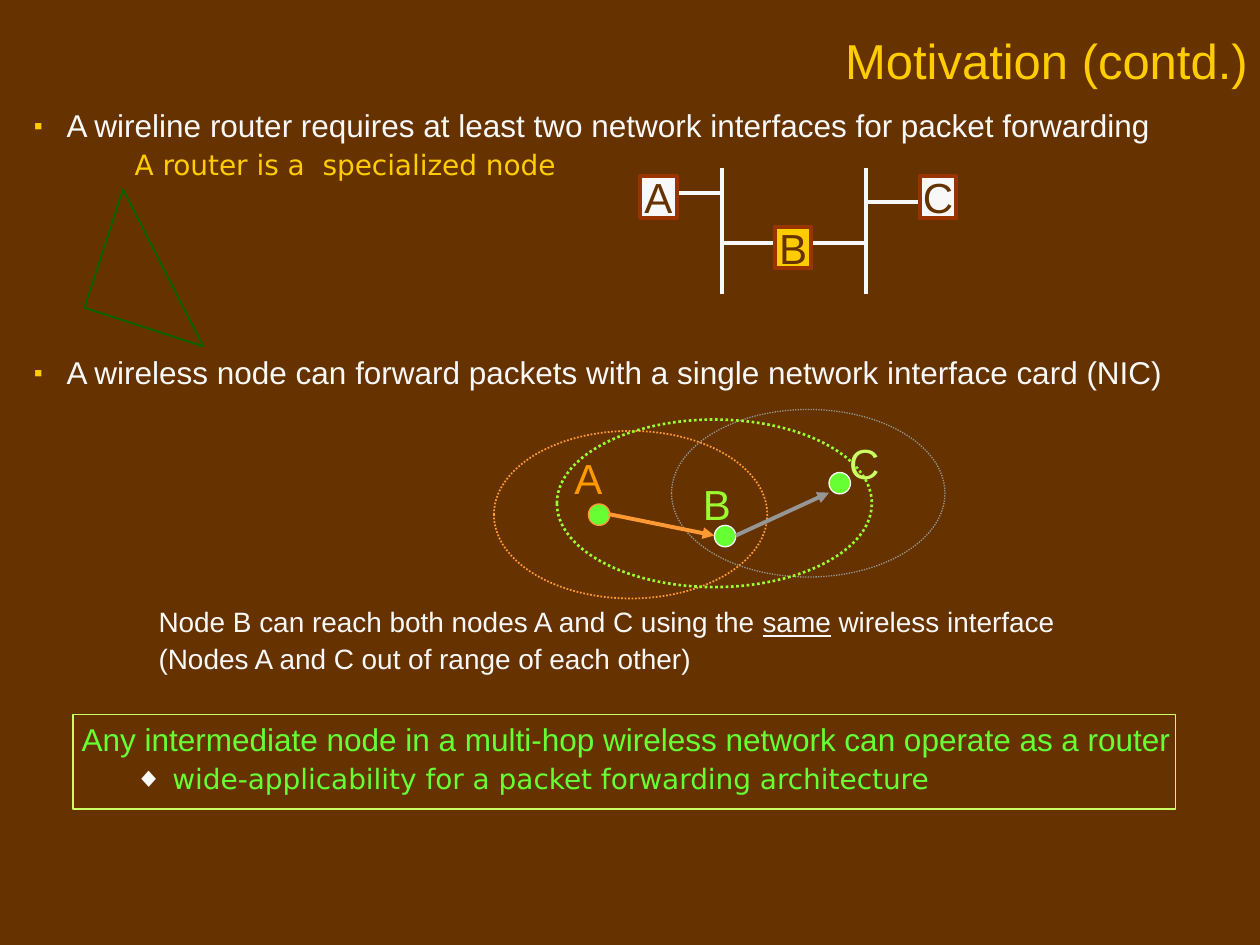
from lxml import etree
from pptx import Presentation
from pptx.dml.color import RGBColor
from pptx.enum.dml import MSO_LINE
from pptx.enum.shapes import MSO_CONNECTOR, MSO_SHAPE
from pptx.enum.text import MSO_ANCHOR, PP_ALIGN
from pptx.oxml.ns import qn
from pptx.util import Inches, Pt

RECTANGLE, OVAL, TRIANGLE = MSO_SHAPE.RECTANGLE, MSO_SHAPE.OVAL, MSO_SHAPE.RIGHT_TRIANGLE
STRAIGHT = MSO_CONNECTOR.STRAIGHT
DOTTED = MSO_LINE.ROUND_DOT
MIDDLE = MSO_ANCHOR.MIDDLE
LEFT, CENTER, RIGHT = PP_ALIGN.LEFT, PP_ALIGN.CENTER, PP_ALIGN.RIGHT

COLORS = {
    "brown": "663300", "gold": "FFCC00", "white": "F8F8F8", "rust": "993300",
    "green": "66FF33", "dark green": "006600", "lime": "99FF33",
    "pale lime": "CCFF66", "orange": "FF9933", "deep orange": "FF9900",
    "gray": "969696",
}


def rgb(name):
    return RGBColor.from_string(COLORS[name])


class SlideBuilder:
    font = "Arial"
    second_font = "DejaVu Sans"

    def __init__(self, slide):
        self.slide = slide
        fill = slide.background.fill
        fill.solid()
        fill.fore_color.rgb = rgb("brown")

    def shape(self, kind, left, top, width, height, line, weight, fill=None, dash=None):
        shape = self.slide.shapes.add_shape(
            kind, Inches(left), Inches(top), Inches(width), Inches(height))
        shape.shadow.inherit = False
        if fill:
            shape.fill.solid()
            shape.fill.fore_color.rgb = rgb(fill)
        else:
            shape.fill.background()
        shape.line.color.rgb = rgb(line)
        shape.line.width = Pt(weight)
        if dash:
            shape.line.dash_style = dash
        return shape

    def line(self, start, end, color="white", arrow=False):
        connector = self.slide.shapes.add_connector(
            STRAIGHT, *(Inches(value) for value in (*start, *end)))
        connector.line.color.rgb = rgb(color)
        connector.line.width = Pt(2.25)
        properties = connector._element.spPr
        if arrow:
            outline = properties.find(qn("a:ln"))
            etree.SubElement(outline, qn("a:tailEnd"), type="triangle")
        etree.SubElement(properties, qn("a:effectLst"))

    def text_box(self, left, top, width, height, wrap=True):
        box = self.slide.shapes.add_textbox(
            Inches(left), Inches(top), Inches(width), Inches(height))
        box.text_frame.word_wrap = wrap
        return box.text_frame

    def set_text(self, paragraph, text, size, color, align=LEFT, font=None):
        paragraph.text = text
        self.style(paragraph, size, color, align, font)

    def style(self, paragraph, size, color, align=LEFT, font=None):
        paragraph.alignment = align
        paragraph.font.name = font or self.font
        paragraph.font.size = Pt(size)
        paragraph.font.color.rgb = rgb(color)

    def layout(self, paragraph, margin, indent=0, before=4, bullet=None):
        """Set spacing, indents and an optional (character, color, percent) bullet."""
        paragraph.line_spacing = 0.9
        paragraph.space_before = Pt(before)
        properties = paragraph._p.get_or_add_pPr()
        properties.set("marL", str(Inches(margin)))
        properties.set("indent", str(Inches(indent)))
        if bullet:
            character, color, percent = bullet
            bullet_color = etree.SubElement(properties, qn("a:buClr"))
            etree.SubElement(bullet_color, qn("a:srgbClr"), val=COLORS[color])
            etree.SubElement(properties, qn("a:buSzPct"), val=str(percent * 1000))
            etree.SubElement(properties, qn("a:buFont"), typeface="Times New Roman")
            etree.SubElement(properties, qn("a:buChar"), char=character)

    def body(self, top, height):
        return self.text_box(0.17, top, 9.83, height)

    def point(self, paragraph, text):
        self.layout(paragraph, 0.26, -0.26, 4.5, ("▪", "gold", 80))
        self.set_text(paragraph, text, 18, "white")

    def router(self, letter, left, top, fill):
        shape = self.shape(RECTANGLE, left, top, 0.29, 0.33, "rust", 2.25, fill)
        frame = shape.text_frame
        frame.word_wrap = False
        frame.vertical_anchor = MIDDLE
        self.set_text(frame.paragraphs[0], letter, 24, "brown", CENTER)

    def label(self, letter, left, top, color):
        frame = self.text_box(left, top, 0.42, 0.5, wrap=False)
        self.set_text(frame.paragraphs[0], letter, 24, color, CENTER)


def add_text(builder):
    title = builder.text_box(2.33, 0.17, 7.67, 0.67)
    title.vertical_anchor = MIDDLE
    builder.set_text(title.paragraphs[0], "Motivation (contd.)", 28, "gold", RIGHT)
    title.paragraphs[0].line_spacing = 0.9

    wireline = builder.body(0.83, 0.7)
    builder.point(wireline.paragraphs[0],
                  "A wireline router requires at least two network interfaces "
                  "for packet forwarding")
    remark = wireline.add_paragraph()
    builder.layout(remark, 0.8)
    builder.set_text(remark, "A router is a  specialized node", 16, "gold",
                     font=builder.second_font)

    wireless = builder.body(2.79, 0.4)
    builder.point(wireless.paragraphs[0],
                  "A wireless node can forward packets with a single network "
                  "interface card (NIC)")

    reach = builder.body(4.78, 0.7)
    first, second = reach.paragraphs[0], reach.add_paragraph()
    for text in ("Node B can reach both nodes A and C using the ", "same",
                 " wireless interface"):
        run = first.add_run()
        run.text = text
        if text == "same":
            run.font.underline = True
    second.text = "(Nodes A and C out of range of each other)"
    for paragraph in (first, second):
        builder.layout(paragraph, 0.99)
        builder.style(paragraph, 16, "white")

    conclusion = builder.body(5.7, 0.7)
    first, second = conclusion.paragraphs[0], conclusion.add_paragraph()
    builder.layout(first, 0.38, before=4.5)
    builder.set_text(first, "Any intermediate node in a multi-hop wireless network "
                     "can operate as a router", 18, "green")
    builder.layout(second, 1.1, -0.3, bullet=("◆", "white", 100))
    builder.set_text(second, "wide-applicability for a packet forwarding architecture",
                     16, "green", font=builder.second_font)
    builder.shape(RECTANGLE, 0.58, 5.67, 8.75, 0.75, "pale lime", 1)


def add_wireline_network(builder):
    left_bus, right_bus = 5.73, 6.87
    for bus in (left_bus, right_bus):
        builder.line((bus, 1.33), (bus, 2.33))
    for start, end, y in ((5.37, left_bus, 1.53), (left_bus, 6.15, 1.93),
                          (6.44, right_bus, 1.93), (right_bus, 7.3, 1.6)):
        builder.line((start, y), (end, y))
    builder.router("A", 5.08, 1.4, "white")
    builder.router("B", 6.15, 1.8, "gold")
    builder.router("C", 7.3, 1.4, "white")


def add_wireless_network(builder):
    for left, top, outline in ((4.67, 4, "orange"), (6.58, 3.75, "white"),
                               (5.67, 4.17, "white")):
        builder.shape(OVAL, left, top, 0.17, 0.17, outline, 0.75, "green")
    for left, top, width, color, weight in ((3.92, 3.42, 2.17, "orange", 1),
                                            (5.33, 3.25, 2.17, "gray", 0.75),
                                            (4.42, 3.33, 2.5, "lime", 1.5)):
        builder.shape(OVAL, left, top, width, 1.33, color, weight, dash=DOTTED)
    builder.line((4.83, 4.08), (5.67, 4.25), "orange", arrow=True)
    builder.line((5.84, 4.25), (6.58, 3.91), "gray", arrow=True)
    builder.label("A", 4.46, 3.54, "deep orange")
    builder.label("B", 5.48, 3.75, "lime")
    builder.label("C", 6.64, 3.42, "pale lime")


def main():
    presentation = Presentation()
    presentation.slide_width, presentation.slide_height = Inches(10), Inches(7.5)
    builder = SlideBuilder(presentation.slides.add_slide(presentation.slide_layouts[6]))
    triangle = builder.shape(TRIANGLE, 0.8, 1.63, 0.99, 0.99, "dark green", 1)
    triangle.rotation = 108
    triangle._element.spPr.xfrm.set("flipH", "1")
    add_text(builder)
    add_wireline_network(builder)
    add_wireless_network(builder)
    presentation.save("out.pptx")


if __name__ == "__main__":
    main()
